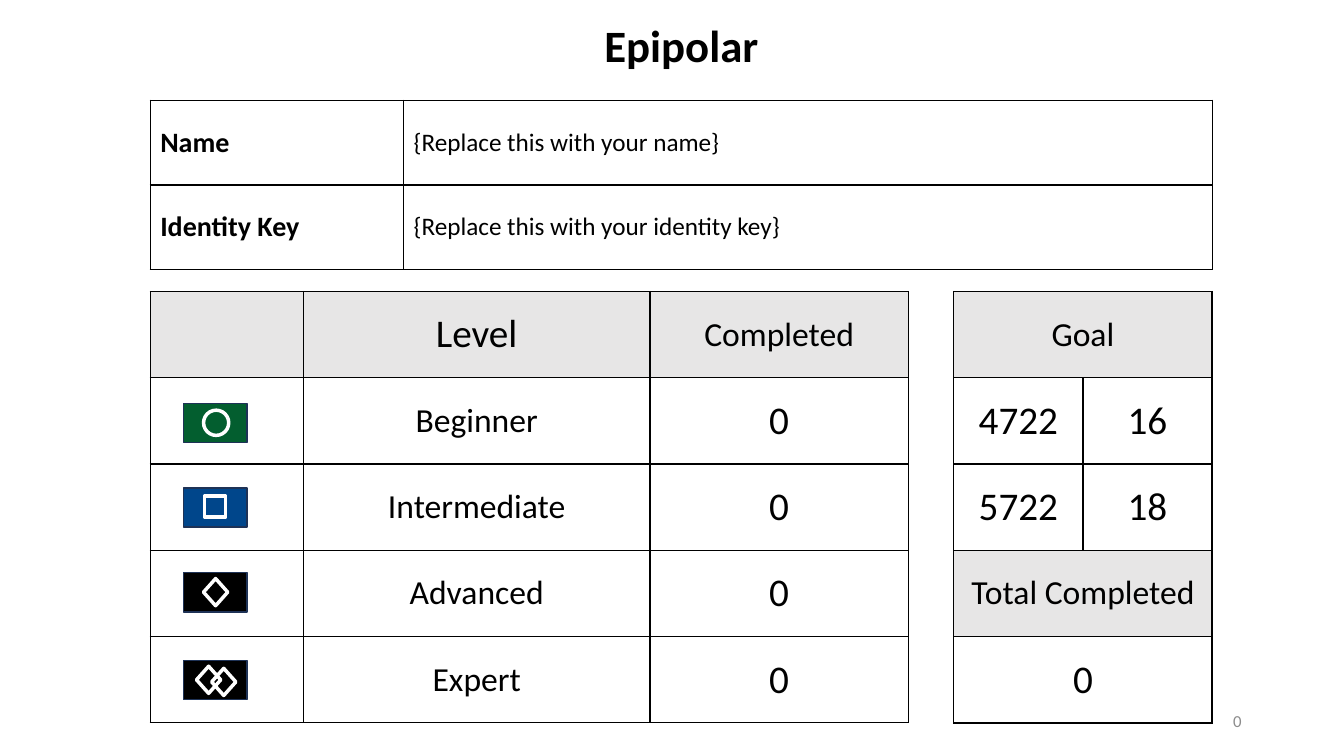
from dataclasses import dataclass

from lxml.etree import SubElement as Sub
from pptx import Presentation as Deck
from pptx.dml.color import RGBColor as Rgb
from pptx.enum.shapes import MSO_SHAPE as Kind
from pptx.enum.text import MSO_ANCHOR as Anchor, PP_ALIGN as Align
from pptx.oxml.ns import qn
from pptx.util import Pt


@dataclass(frozen=True)
class Theme:
    font: str = "Calibri"
    ink: str = "000000"
    grey: str = "8C8C8C"
    head: str = "E7E6E6"
    white: str = "FFFFFF"
    rim: str = "1E3256"
    green: str = "035E2F"
    blue: str = "00468B"
    title: int = 32
    big: int = 28
    mid: int = 24
    label: int = 20
    body: int = 18
    small: int = 12


class Page:
    def __init__(self, slide, theme):
        self.slide = slide
        self.theme = theme

    def words(self, frame, text, size, bold=False, align=Align.CENTER, color=None):
        par = frame.paragraphs[0]
        par.alignment = align
        run = par.add_run()
        run.text = text
        form = {"name": self.theme.font, "size": Pt(size), "bold": bold}
        for key, val in form.items():
            setattr(run.font, key, val)
        run.font.color.rgb = Rgb.from_string(color or self.theme.ink)

    def text(self, box, text, size, anchor=Anchor.TOP, **form):
        frame = self.slide.shapes.add_textbox(*map(Pt, box)).text_frame
        frame.word_wrap = True
        frame.vertical_anchor = anchor
        self.words(frame, text, size, **form)

    def paint(self, fill, color):
        if color:
            fill.solid()
            fill.fore_color.rgb = Rgb.from_string(color)
        else:
            fill.background()

    def frame(self, cell):
        props = cell._tc.get_or_add_tcPr()
        for side in ("lnL", "lnR", "lnT", "lnB"):
            line = Sub(props, qn(f"a:{side}"), w=str(Pt(1)))
            fill = Sub(line, qn("a:solidFill"))
            Sub(fill, qn("a:srgbClr"), val=self.theme.ink)

    def table(self, left, top, cols, tall, rows, heads=1, merge=False):
        box = (left, top, sum(cols), tall * len(rows))
        grid = self.slide.shapes.add_table(len(rows), len(cols), *map(Pt, box)).table
        for key in ("first_row", "horz_banding"):
            setattr(grid, key, False)
        for col, wide in zip(grid.columns, cols):
            col.width = Pt(wide)
        for r, row in enumerate(rows):
            grid.rows[r].height = Pt(tall)
            for c, item in enumerate(row):
                cell = grid.cell(r, c)
                cell.vertical_anchor = Anchor.MIDDLE
                self.frame(cell)
                self.paint(cell.fill, self.theme.head if r < heads else None)
                if item:
                    text, size, *form = item
                    self.words(cell.text_frame, text, size, *form)
        if merge:
            grid.cell(0, 0).merge(grid.cell(0, len(cols) - 1))

    def shape(self, group, kind, box, fill, line, width):
        part = group.shapes.add_shape(kind, *map(Pt, box))
        part.shadow.inherit = False
        self.paint(part.fill, fill)
        part.line.color.rgb = Rgb.from_string(line)
        part.line.width = Pt(width)

    def badge(self, left, top, color, marks):
        group = self.slide.shapes.add_group_shape()
        box = (left, top, 45.4, 28.1)
        self.shape(group, Kind.RECTANGLE, box, color, self.theme.rim, 1)
        for kind, x, y, wide, tall, fill in marks:
            box = (left + x, top + y, wide, tall)
            self.shape(group, kind, box, fill, self.theme.white, 2.5)


def main():
    deck = Deck()
    for key, val in {"slide_width": 960, "slide_height": 540}.items():
        setattr(deck, key, Pt(val))
    look = Theme()
    page = Page(deck.slides.add_slide(deck.slide_layouts[6]), look)

    left, goal, top, tall, wide = 107.3, 681.3, 208.2, 61.65, 759
    zero = ("0", look.big)

    levels = ("Beginner", "Intermediate", "Advanced", "Expert")
    rows = [(None, ("Level", look.big), ("Completed", look.mid))]
    rows += [(None, (name, look.mid), zero) for name in levels]
    page.table(left, top, (109.5, 247.5, 184.5), tall, rows)

    facts = {"Name": "name", "Identity Key": "identity key"}
    rows = [
        (
            (name, look.label, True, Align.LEFT),
            (f"{{Replace this with your {key}}}", look.body, False, Align.LEFT),
        )
        for name, key in facts.items()
    ]
    page.table(left, 71.6, (181, wide - 181), 60.5, rows, heads=0)

    gem = (17.3, 19.4)
    badges = (
        (288, look.green, [(Kind.OVAL, 14.4, 5, 18, 18, look.green)]),
        (348.5, look.blue, [(Kind.RECTANGLE, 15.1, 5.8, 15.1, 15.1, look.blue)]),
        (409, look.ink, [(Kind.DIAMOND, 14.4, 4.3, *gem, look.ink)]),
        (471.6, look.ink, [
            (Kind.DIAMOND, 9.4, 4.3, *gem, look.ink),
            (Kind.DIAMOND, 20.2, 5.8, *gem, None),
        ]),
    )
    for y, color, marks in badges:
        page.badge(131, y, color, marks)

    page.text((left, 9.4, wide, 46), "Epipolar", look.title, bold=True)

    goals = (("4722", "16"), ("5722", "18"))
    rows = [(("Goal", look.mid), None)]
    rows += [[(text, look.big) for text in pair] for pair in goals]
    page.table(goal, top, (92.25, 92.25), tall, rows, merge=True)
    rows = [(("Total Completed", look.mid),), (zero,)]
    page.table(goal, top + 3 * tall, (184.5,), tall, rows)

    page.text((678, 500.4, 216, 28.8), "0", look.small, Anchor.MIDDLE,
              align=Align.RIGHT, color=look.grey)
    deck.save("out.pptx")


if __name__ == "__main__":
    main()
